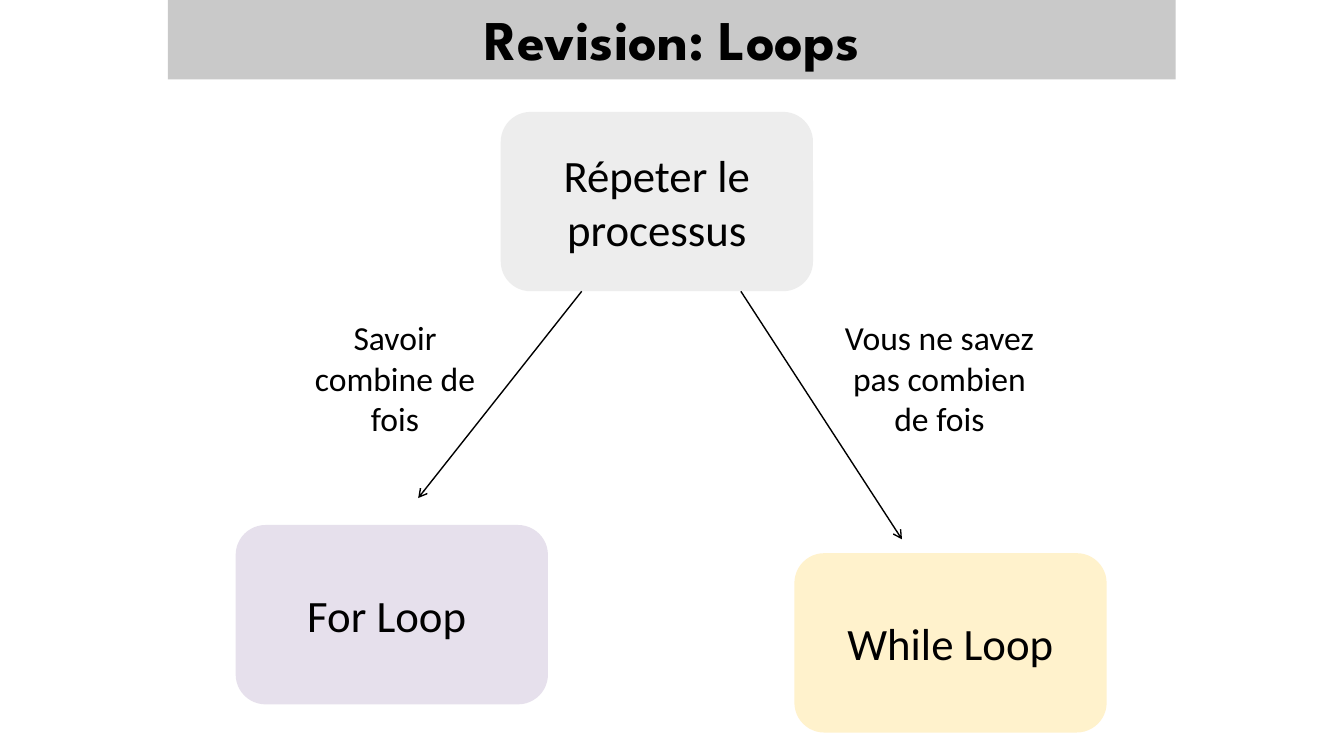
"""Build a slide that shows when to choose a for loop or a while loop."""
import pptx
import pptx.util
from lxml import etree
from pptx.dml.color import RGBColor
from pptx.enum.shapes import MSO_CONNECTOR, MSO_SHAPE
from pptx.enum.text import MSO_ANCHOR, MSO_AUTO_SIZE, PP_ALIGN
from pptx.oxml.ns import qn
from pptx.util import Cm

COLOURS = {
    "ink": "000000",
    "banner": "C9C9C9",
    "process": "EDEDED",
    "for": "E6E0EC",
    "while": "FFF2CC",
}
BOX_WIDTH, BOX_HEIGHT = 7.87, 4.52
PROCESS_TOP = 2.82
PROCESS_BOTTOM = PROCESS_TOP + BOX_HEIGHT


def colour(name):
    return RGBColor.from_string(COLOURS[name])


def write_text(shape, text, size, font="Calibri", bold=False):
    shape.text_frame.word_wrap = True
    paragraph = shape.text_frame.paragraphs[0]
    paragraph.alignment = PP_ALIGN.CENTER
    run = paragraph.add_run()
    run.text = text
    run.font.name = font
    run.font.size = pptx.util.Pt(size)
    run.font.bold = bold
    run.font.color.rgb = colour("ink")


def add_filled_shape(slide, kind, left, top, width, height, fill):
    shape = slide.shapes.add_shape(kind, Cm(left), Cm(top), Cm(width), Cm(height))
    shape.shadow.inherit = False
    shape.fill.solid()
    shape.fill.fore_color.rgb = colour(fill)
    shape.line.fill.background()
    shape.text_frame.vertical_anchor = MSO_ANCHOR.MIDDLE
    return shape


def add_banner(slide, text):
    banner = add_filled_shape(slide, MSO_SHAPE.RECTANGLE, 4.23, -0.08, 25.4, 2.08, "banner")
    write_text(banner, text, 40, "League Spartan", bold=True)


def add_box(slide, text, left, top, fill):
    box = add_filled_shape(
        slide, MSO_SHAPE.ROUNDED_RECTANGLE, left, top, BOX_WIDTH, BOX_HEIGHT, fill
    )
    write_text(box, text, 32)


def add_arrow(slide, start_x, end_x, end_y):
    arrow = slide.shapes.add_connector(
        MSO_CONNECTOR.STRAIGHT, Cm(start_x), Cm(PROCESS_BOTTOM), Cm(end_x), Cm(end_y)
    )
    arrow.line.color.rgb = colour("ink")
    arrow.line.width = pptx.util.Pt(1)
    properties = arrow.element.spPr
    etree.SubElement(properties.find(qn("a:ln")), qn("a:tailEnd"), type="arrow")
    etree.SubElement(properties, qn("a:effectLst"))


def add_condition(slide, text, left):
    condition = slide.shapes.add_textbox(Cm(left), Cm(7.87), Cm(5.33), Cm(3.33))
    condition.text_frame.auto_size = MSO_AUTO_SIZE.SHAPE_TO_FIT_TEXT
    write_text(condition, text, 24)


def main():
    presentation = pptx.Presentation()
    presentation.slide_width = Cm(33.87)
    presentation.slide_height = Cm(19.05)
    slide = presentation.slides.add_slide(presentation.slide_layouts[6])

    add_box(slide, "Répeter le processus", 12.62, PROCESS_TOP, "process")
    add_banner(slide, "Revision: Loops")
    add_box(slide, "For Loop ", 5.94, 13.23, "for")
    add_box(slide, "While Loop", 20.02, 13.94, "while")
    add_arrow(slide, 14.66, 10.54, 12.55)
    add_arrow(slide, 18.67, 22.73, 13.59)
    add_condition(slide, "Savoir combine de fois", 7.29)
    add_condition(slide, "Vous ne savez pas combien de fois", 21.01)

    presentation.save("out.pptx")


if __name__ == "__main__":
    main()
